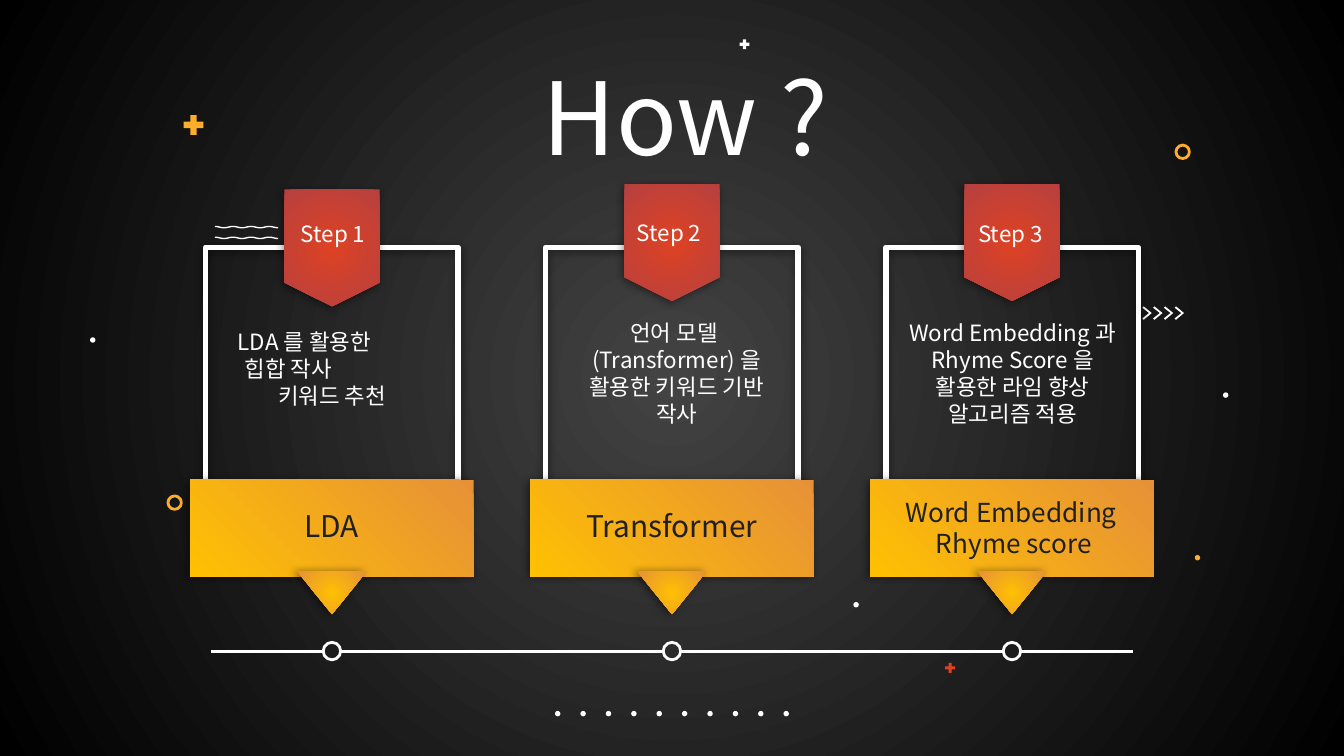
import math

from pptx import Presentation
from pptx.dml.color import RGBColor
from pptx.enum.shapes import MSO_CONNECTOR, MSO_SHAPE
from pptx.enum.text import MSO_ANCHOR, MSO_AUTO_SIZE, PP_ALIGN
from pptx.oxml import parse_xml
from pptx.oxml.ns import nsdecls, qn
from pptx.util import Inches, Pt

RECT, OVAL, PLUS = MSO_SHAPE.RECTANGLE, MSO_SHAPE.OVAL, MSO_SHAPE.MATH_PLUS
TRIANGLE, PENTAGON = MSO_SHAPE.ISOSCELES_TRIANGLE, MSO_SHAPE.PENTAGON
LEFT, CENTER = PP_ALIGN.LEFT, PP_ALIGN.CENTER
TOP, MIDDLE = MSO_ANCHOR.TOP, MSO_ANCHOR.MIDDLE
FONT = "Noto Sans CJK KR"
COLORS = {"white": "FFFFFF", "ink": "202020", "amber": "FFAD2C", "red": "DE4223",
          "gold": "FFC002", "orange": "E69138", "brick": "B64040",
          "gray": "434343", "black": "000000"}
GRADIENT = """<a:gradFill %s rotWithShape="1"><a:gsLst>
<a:gs pos="0"><a:srgbClr val="{}"/></a:gs><a:gs pos="100000"><a:srgbClr val="{}"/></a:gs>
</a:gsLst><a:path path="circle"><a:fillToRect l="{}" t="{}" r="{}" b="{}"/></a:path>
</a:gradFill>""" % nsdecls("a")
SHADOW = """<a:outerShdw %s blurRad="57150" dist="19050" dir="{}" algn="bl" rotWithShape="0">
<a:srgbClr val="000000"><a:alpha val="{}"/></a:srgbClr></a:outerShdw>""" % nsdecls("a")
MID, CORNER = (50000,) * 4, (0, 100000, 100000, 0)


def add_shape(kind, x, y, w, h, fill=None, line=None, weight=1.5, grad=None,
              shadow=None, adj=None, rot=0):
    """Add a preset shape; grad is (from, to, focus), shadow is (degrees, alpha %)."""
    sp = s.shapes.add_shape(kind, Inches(x), Inches(y), Inches(w), Inches(h))
    sp.rotation = rot
    sp.shadow.inherit = False
    if adj:
        sp.adjustments[0] = adj
    if fill or grad:
        sp.fill.solid()
        sp.fill.fore_color.rgb = RGBColor.from_string(COLORS[fill or grad[0]])
    else:
        sp.fill.background()
    if line:
        sp.line.color.rgb = RGBColor.from_string(COLORS[line])
        sp.line.width = Pt(weight)
    else:
        sp.line.fill.background()
    pr = sp._element.spPr
    if grad:
        start, end, focus = grad
        pr.replace(pr.find(qn("a:solidFill")),
                   parse_xml(GRADIENT.format(COLORS[start], COLORS[end], *focus)))
    if shadow:
        degrees, alpha = shadow
        pr.find(qn("a:effectLst")).append(
            parse_xml(SHADOW.format(degrees * 60000, alpha * 1000)))


def set_text(sp, lines, size, color, insets, anchor=TOP, align=CENTER, wrap=True,
             auto_size=MSO_AUTO_SIZE.NONE, indents=(0,)):
    """Fill a text shape, one paragraph for each line and indent."""
    tf = sp.text_frame
    left, top, right, bottom = map(Inches, insets)
    frame = {"word_wrap": wrap, "auto_size": auto_size, "vertical_anchor": anchor,
             "margin_left": left, "margin_top": top,
             "margin_right": right, "margin_bottom": bottom}
    for name, value in frame.items():
        setattr(tf, name, value)
    tf.text = "\n".join(lines)
    for p, indent in zip(tf.paragraphs, indents):
        p.alignment = align
        p._p.get_or_add_pPr().set("marL", str(Inches(indent)))
        for r in p.runs:
            for name, value in {"name": FONT, "size": Pt(size), "bold": False}.items():
                setattr(r.font, name, value)
            r.font.color.rgb = RGBColor.from_string(COLORS[color])
            r._r.get_or_add_rPr().append(
                parse_xml(f'<a:ea {nsdecls("a")} typeface="{FONT}"/>'))


# Widescreen slide, 16:9
prs = Presentation()
prs.slide_width = Inches(10)
prs.slide_height = Inches(10) * 9 // 16
s = prs.slides.add_slide(prs.slide_layouts[5])

# Background
s.background.fill.solid()
bg = s._element.cSld.find(qn("p:bg")).find(qn("p:bgPr"))
bg.replace(bg.find(qn("a:solidFill")),
           parse_xml(GRADIENT.format(COLORS["gray"], COLORS["black"], *MID)))

# Title
title = s.shapes.title
title.left, title.top, title.width, title.height = map(Inches, (1.7, 0.41, 6.8, 0.58))
set_text(title, ["How ?"], 54, "white", (0, 0, 0, 0))

# Scattered pluses, dots and rings
for x, y, size, color in [(1.34, 0.83, 0.2, "amber"), (5.49, 0.28, 0.1, "white"),
                          (7.02, 4.92, 0.1, "red")]:
    add_shape(PLUS, x, y, size, size, fill=color, adj=0.235)
for x, y, color in [(0.67, 2.51, "white"), (9.1, 2.92, "white"),
                    (6.35, 4.48, "white"), (8.89, 4.13, "amber")]:
    add_shape(OVAL, x, y, 0.04, 0.04, fill=color)
for x, y in [(8.75, 1.08), (1.25, 3.69)]:
    add_shape(OVAL, x, y, 0.1, 0.1, line="amber")

# Wavy lines and chevrons
outlines = []
for y in (1.68, 1.76):
    upper = [(1.6 + 0.47 * i / 56, y + 0.01 * (1 - math.cos(math.pi * i / 8)) / 2)
             for i in range(57)]
    outlines.append(upper + [(px, py + 0.01) for px, py in reversed(upper)])
for i in range(4):
    outlines.append([(8.5 + 0.08 * i + dx, 2.28 + dy) for dx, dy in
                     [(0.01, 0), (0.07, 0.05), (0.01, 0.1),
                      (0, 0.09), (0.05, 0.05), (0, 0.01)]])
for outline in outlines:
    points = [(Inches(px), Inches(py)) for px, py in outline]
    builder = s.shapes.build_freeform(*points[0], scale=1.0)
    builder.add_line_segments(points[1:], close=True)
    sp = builder.convert_to_shape()
    sp.shadow.inherit = False
    sp.fill.solid()
    sp.fill.fore_color.rgb = RGBColor.from_string(COLORS["white"])
    sp.line.fill.background()

# Step columns: frame, label bar, pointer, badge
centers = [2.47, 5, 7.53]
for cx, badge_y in zip(centers, (1.49, 1.45, 1.45)):
    add_shape(RECT, cx - 1.88 / 2, 1.84, 1.88, 2.31, line="white", weight=3,
              shadow=(90, 50))
    add_shape(RECT, cx - 2.11 / 2, 3.57, 2.11, 0.72, grad=("gold", "orange", CORNER),
              shadow=(165, 50))
    add_shape(TRIANGLE, cx - 0.52 / 2, 4.25, 0.52, 0.32, grad=("gold", "orange", MID),
              shadow=(165, 50), rot=180)
    add_shape(PENTAGON, cx - 0.87 / 2, badge_y, 0.87, 0.71, grad=("red", "brick", MID),
              shadow=(122, 43), adj=0.249, rot=90)

# Column texts
body = {"size": 12, "color": "white", "insets": (0, 0.01, 0, 0), "anchor": MIDDLE,
        "indents": (0.01,)}
label = {"size": 16, "color": "ink", "insets": (0, 0.07, 0, 0)}
badge = {"size": 12, "color": "white", "insets": (0.1, 0.05, 0.1, 0.05), "align": LEFT,
         "wrap": False, "auto_size": MSO_AUTO_SIZE.SHAPE_TO_FIT_TEXT}
texts = [
    ((1.67, 2.06, 1.6, 1.36), ["LDA 를 활용한", "힙합 작사", "키워드 추천"],
     {**body, "align": LEFT, "indents": (0.1, 0.15, 0.4)}),
    ((4.23, 2.09, 1.6, 1.36),
     ["언어 모델 \v(Transformer) 을 활용한 키워드 기반 작사"], body),
    ((6.73, 2.09, 1.6, 1.36),
     ["Word Embedding 과 Rhyme Score 을 활용한 라임 향상 알고리즘 적용"], body),
    ((1.83, 3.71, 1.28, 0.31), ["LDA"], label),
    ((4.2, 3.71, 1.6, 0.25), ["Transformer"], label),
    ((6.49, 3.62, 2.11, 0.27), ["Word Embedding \vRhyme score"], {**label, "size": 14}),
    ((2.14, 1.59, 0.72, 0.3), ["Step 1"], badge),
    ((4.64, 1.58, 0.72, 0.3), ["Step 2"], badge),
    ((7.18, 1.59, 0.72, 0.3), ["Step 3"], badge),
]
for box, lines, style in texts:
    set_text(s.shapes.add_textbox(*map(Inches, box)), lines, **style)

# Timeline
edges = [1.57]
for cx in centers:
    add_shape(OVAL, cx - 0.13 / 2, 4.78, 0.13, 0.13, line="white")
    edges += [cx - 0.07, cx + 0.07]
edges.append(8.43)
for x1, x2 in zip(edges[::2], edges[1::2]):
    line = s.shapes.add_connector(MSO_CONNECTOR.STRAIGHT, Inches(x1), Inches(4.85),
                                  Inches(x2), Inches(4.85))
    line.line.color.rgb = RGBColor.from_string(COLORS["white"])
    line.line.width = Pt(1.5)
    line._element.spPr.append(parse_xml(f'<a:effectLst {nsdecls("a")}/>'))

# Row of dots at the foot
for i in range(10):
    add_shape(OVAL, 4.13 + 1.7 / 9 * i, 5.29, 0.04, 0.04, fill="white")

prs.save("out.pptx")
